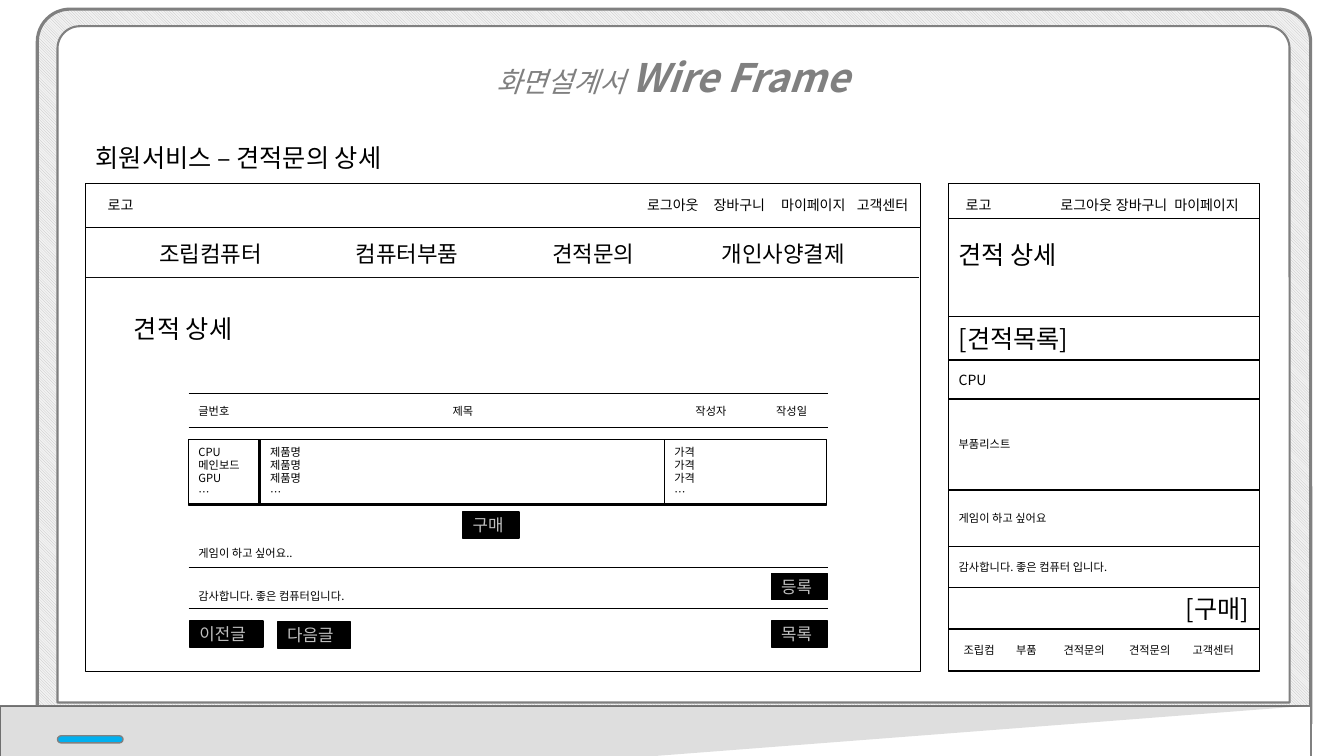
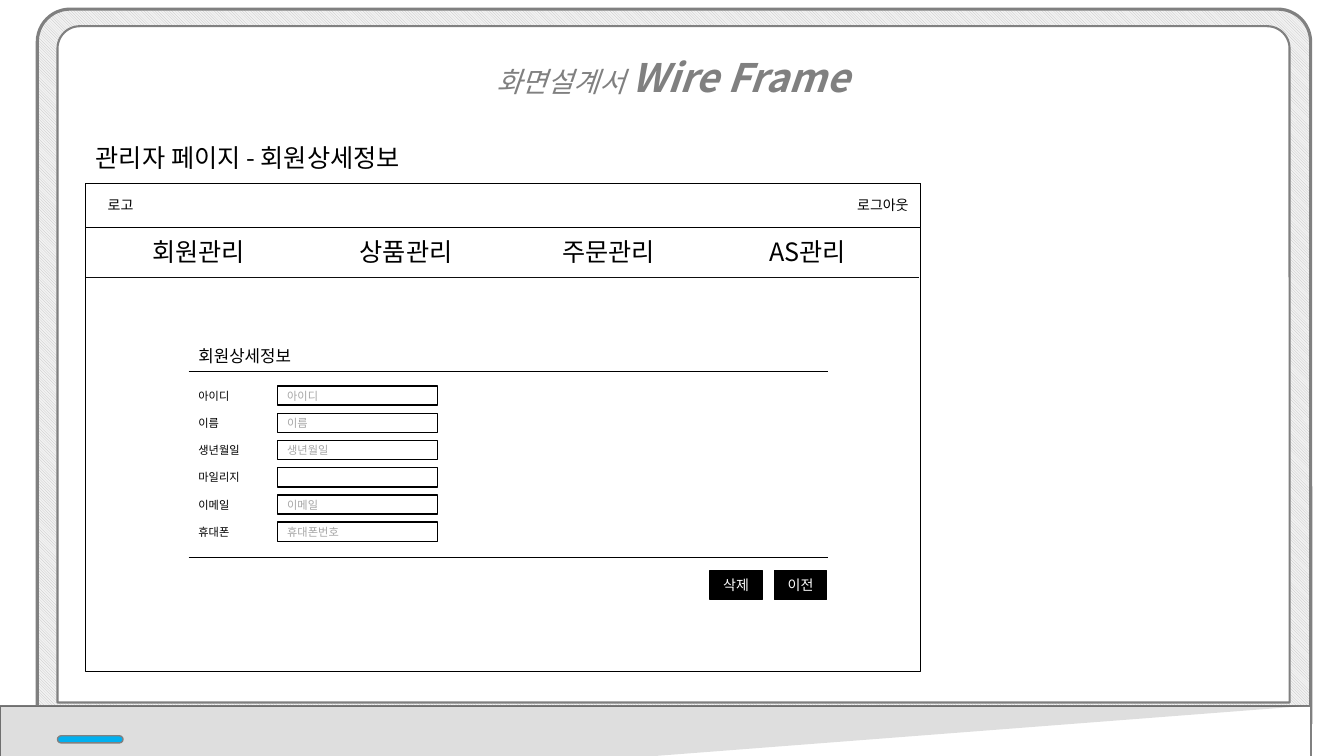
from itertools import accumulate

from lxml.etree import SubElement
from pptx import Presentation
from pptx.dml.color import RGBColor
from pptx.enum.dml import MSO_PATTERN
from pptx.enum.shapes import MSO_CONNECTOR, MSO_SHAPE
from pptx.enum.text import MSO_ANCHOR, MSO_AUTO_SIZE, PP_ALIGN
from pptx.oxml.ns import qn
from pptx.util import Inches, Pt

FONT = "Noto Sans CJK KR"
BLACK, WHITE, GRAY = "000000", "FFFFFF", "808080"
SILVER, HINT, BLUE = "BFBFBF", "A6A6A6", "00B0F0"
LEFT, CENTER, RIGHT = PP_ALIGN.LEFT, PP_ALIGN.CENTER, PP_ALIGN.RIGHT

# Regions of every slide: left, top, width, height in inches
HEADING = (3.67, 0.25, 6, 0.81)
TITLE = (0.85, 1.36, 5, 0.4)
DESKTOP = (0.85, 1.82, 8.28, 4.84)
MOBILE = (9.41, 1.82, 3.08, 4.84)


def color(value):
    return RGBColor.from_string(value)


def inside(box, left, top, width, height):
    """Place a part relative to the corner of its region."""
    return box[0] + left, box[1] + top, width, height


# Text
def style(font, size, ink):
    font.size, font.name = Pt(size), FONT
    font.color.rgb = color(ink)
    SubElement(font._element, qn("a:ea"), typeface=FONT)


def write(frame, text, size, ink=BLACK, align=LEFT, anchor=MSO_ANCHOR.TOP, tabs=()):
    frame.word_wrap = True
    frame.auto_size = MSO_AUTO_SIZE.NONE
    frame.vertical_anchor = anchor
    for index, line in enumerate(text.split("\n")):
        para = frame.add_paragraph() if index else frame.paragraphs[0]
        para.add_run().text = line
        para.alignment = align
        if tabs:
            stops = SubElement(para._p.get_or_add_pPr(), qn("a:tabLst"))
            for stop in tabs:
                SubElement(stops, qn("a:tab"), pos=str(Inches(stop)), algn="l")
        style(para.font, size, ink)


def label(page, box, text, size, **options):
    frame = page.shapes.add_textbox(*map(Inches, box)).text_frame
    write(frame, text, size, **options)


def menu(page, box, items, size, tabs):
    """A row of entries; the first at the box's edge, the rest at tab stops."""
    label(page, box, "\t".join(items), size, tabs=tabs)


# Shapes
def finish(shape, fill, line, weight):
    shape.shadow.inherit = False
    if fill:
        shape.fill.solid()
        shape.fill.fore_color.rgb = color(fill)
    if line:
        shape.line.color.rgb = color(line)
        shape.line.width = Pt(weight)
    else:
        shape.line.fill.background()
    return shape


def block(page, box, kind=MSO_SHAPE.RECTANGLE, fill=WHITE, line=BLACK, weight=1, corners=()):
    shape = page.shapes.add_shape(kind, *map(Inches, box))
    for index, corner in enumerate(corners):
        shape.adjustments[index] = corner
    return finish(shape, fill, line, weight)


def cell(page, box, text="", size=8, ink=BLACK, align=LEFT, fill=WHITE):
    shape = block(page, box, fill=fill)
    if text:
        write(shape.text_frame, text, size, ink, align, MSO_ANCHOR.MIDDLE)


def button(page, box, text, size=12, ink=SILVER, align=LEFT):
    cell(page, box, text, size, ink, align, BLACK)


def rule(page, box, left, top, width, ink=BLACK):
    x, y = box[0] + left, box[1] + top
    line = page.shapes.add_connector(MSO_CONNECTOR.STRAIGHT, *map(Inches, (x, y, x + width, y)))
    line.line.color.rgb = color(ink)
    line.line.width = Pt(0.5)
    SubElement(line._element.spPr, qn("a:effectLst"))


def outline(page, points, fill, line=None):
    builder = page.shapes.build_freeform(*points[0], scale=Inches(1))
    builder.add_line_segments(points[1:], close=True)
    return finish(builder.convert_to_shape(), fill, line, 1.5)


# Parts shared by all slides
def hinge(page, left, width, turn, corner):
    height, middle = 0.12, 7.15
    box = (left + (width - height) / 2, middle - width / 2, height, width)
    shape = block(page, box, MSO_SHAPE.ROUND_2_SAME_RECTANGLE, None, GRAY, 1.5, (corner, 0))
    shape.rotation = turn
    shape.fill.gradient()
    shape.fill.gradient_angle = 180 if turn == 90 else 0
    for stop, place, ink in zip(shape.fill.gradient_stops, (0.17, 0.59), (GRAY, WHITE)):
        stop.position = place
        stop.color.rgb = color(ink)


def laptop(page):
    rounded = MSO_SHAPE.ROUND_2_SAME_RECTANGLE
    # Lid with hatching, then screen
    lid = block(page, (0.37, 0.09, 12.63, 7.09), rounded, None, GRAY, 2.25, (0.046, 0))
    lid.fill.patterned()
    lid.fill.pattern = MSO_PATTERN.LIGHT_DOWNWARD_DIAGONAL
    lid.fill.fore_color.rgb = color(SILVER)
    lid.fill.back_color.rgb = color("F2F2F2")
    block(page, (0.57, 0.26, 12.22, 6.71), rounded, WHITE, GRAY, 1.5, (0.033, 0))
    # Hinges
    for part in ((0.37, 1.97, 270, 0.193), (11.03, 1.97, 90, 0.193), (2.33, 8.7, 270, 0)):
        hinge(page, *part)
    # Base, its shade and the power light
    outline(page, [(0.39, 7.21), (12.97, 7.21), (13.18, 7.5), (0.17, 7.5)], WHITE, GRAY)
    shade = outline(page, [(0.39, 7.18), (0.17, 7.5), (13.02, 7.22)], BLACK)
    SubElement(shade._element.spPr.find(qn("a:solidFill"))[0], qn("a:alpha"), val="13000")
    block(page, (0.57, 7.3, 0.65, 0.07), MSO_SHAPE.ROUNDED_RECTANGLE, BLUE, GRAY, 1, (0.5,))


def heading(page):
    frame = page.shapes.add_textbox(*map(Inches, HEADING)).text_frame
    frame.word_wrap = True
    para = frame.paragraphs[0]
    para.alignment, para.line_spacing = CENTER, 1.5
    for text, size, bold in (("화면설계서 ", 20, False), ("Wire Frame", 28, True)):
        span = para.add_run()
        span.text = text
        span.font.bold, span.font.italic = bold, True
        style(span.font, size, GRAY)


def new_page(deck, title):
    page = deck.slides.add_slide(deck.slide_layouts[5])
    laptop(page)
    heading(page)
    holder = page.shapes.title
    holder.left, holder.top, holder.width, holder.height = map(Inches, TITLE)
    write(holder.text_frame, title, 18)
    page.shapes._spTree.append(holder._element)  # in front of the screen
    return page


def desktop_frame(page, box):
    block(page, box)
    block(page, inside(box, 0, 0, box[2], 0.44))
    label(page, inside(box, 0.12, 0.08, 2.41, 0.27), "로고", 10)
    rule(page, box, 0, 0.93, 8.26, "0D0D0D")


# Quote detail slide
def quote_desktop(page, box):
    desktop_frame(page, box)
    menu(page, inside(box, 5.47, 0.08, 2.8, 0.27),
         ("로그아웃", "장바구니", "마이페이지", "고객센터"), 10, (0.66, 1.33, 2.08))
    menu(page, inside(box, 0.63, 0.51, 7.5, 0.37),
         ("조립컴퓨터", "컴퓨터부품", "견적문의", "개인사양결제"), 16, (1.95, 3.9, 5.58))
    label(page, inside(box, 0.38, 1.24, 2.29, 0.4), "견적 상세", 18)
    # Post header and separators
    for top in (2.08, 2.42, 3.81, 4.22):
        rule(page, box, 1.02, top, 6.34)
    for left, text in ((1.02, "글번호"), (3.54, "제목"), (5.95, "작성자"), (6.75, "작성일")):
        label(page, inside(box, left, 2.14, 0.6, 0.24), text, 8)
    # Parts list
    block(page, inside(box, 1.02, 2.54, 6.33, 0.65))
    for left, width, lines in ((1.73, 4.01, "제품명\n제품명\n제품명\n…"),
                               (1.02, 0.7, "CPU\n메인보드\nGPU\n…"),
                               (5.74, 1.61, "가격\n가격\n가격\n…")):
        cell(page, inside(box, left, 2.54, width, 0.64), lines)
    # Post and reply
    for top, text in ((3.55, "게임이 하고 싶어요.."), (3.98, "감사합니다. 좋은 컴퓨터입니다.")):
        label(page, inside(box, 1.02, top, 6.33, 0.24), text, 8)
    for left, top, width, text in ((3.74, 3.26, 0.56, "구매"), (6.8, 3.87, 0.56, "등록"),
                                   (6.8, 4.34, 0.56, "목록"), (1.03, 4.34, 0.73, "이전글"),
                                   (1.9, 4.35, 0.73, "다음글")):
        button(page, inside(box, left, top, width, 0.26), text)


def quote_mobile(page, box):
    block(page, box)
    label(page, inside(box, 0.07, 0.08, 0.6, 0.27), "로고", 10)
    menu(page, inside(box, 1.01, 0.08, 2.06, 0.27),
         ("로그아웃", "장바구니", "마이페이지"), 10, (0.55, 1.13))
    rule(page, box, 0, 0.35, box[2])
    label(page, inside(box, 0, 0.51, 2.29, 0.4), "견적 상세", 18)
    # Stacked rows down to the tab bar
    rows = ((0.43, "[견적목록]", 18, LEFT), (0.39, "CPU", 10, LEFT),
            (0.9, "부품리스트", 8, LEFT), (0.56, "게임이 하고 싶어요", 8, LEFT),
            (0.41, "감사합니다. 좋은 컴퓨터 입니다.", 8, LEFT),
            (0.41, "[구매]", 18, RIGHT), (0.41, "", 8, LEFT))
    tops = accumulate((row[0] for row in rows), initial=1.32)
    for top, (height, text, size, align) in zip(tops, rows):
        cell(page, inside(box, 0, top, box[2], height), text, size, align=align)
    menu(page, inside(box, 0.05, 4.51, 3.03, 0.24),
         ("조립컴", "부품", "견적문의", "견적문의", "고객센터"), 8, (0.52, 0.99, 1.64, 2.27))


# Member detail slide
def member_desktop(page, box):
    desktop_frame(page, box)
    label(page, inside(box, 5.16, 0.08, 3.1, 0.27), "로그아웃", 10, align=RIGHT)
    menu(page, inside(box, 0.56, 0.48, 7.7, 0.4),
         ("회원관리", "상품관리", "주문관리", "AS관리"), 18, (2.06, 4.07, 6.12))
    label(page, inside(box, 1.02, 1.56, 1.5, 0.3), "회원상세정보", 12)
    for top in (1.86, 3.71):
        rule(page, box, 1.02, top, 6.34)
    # Form fields
    fields = (("아이디", "아이디"), ("이름", "이름"), ("생년월일", "생년월일"),
              ("마일리지", ""), ("이메일", "이메일"), ("휴대폰", "휴대폰번호"))
    pitch = 0.27
    for row, (name, hint) in enumerate(fields):
        label(page, inside(box, 1.02, 1.99 + row * pitch, 0.8, 0.24), name, 8)
        cell(page, inside(box, 1.9, 2.01 + row * pitch, 1.59, 0.19), hint, ink=HINT)
    for left, text in ((6.19, "삭제"), (6.83, "이전")):
        button(page, inside(box, left, 3.84, 0.52, 0.29), text, 10, WHITE, CENTER)


def main():
    deck = Presentation()
    deck.slide_width, deck.slide_height = Inches(13.33), Inches(7.5)
    page = new_page(deck, "회원서비스 – 견적문의 상세")
    quote_desktop(page, DESKTOP)
    quote_mobile(page, MOBILE)
    page = new_page(deck, "관리자 페이지 - 회원상세정보")
    member_desktop(page, DESKTOP)
    deck.save("out.pptx")


if __name__ == "__main__":
    main()
